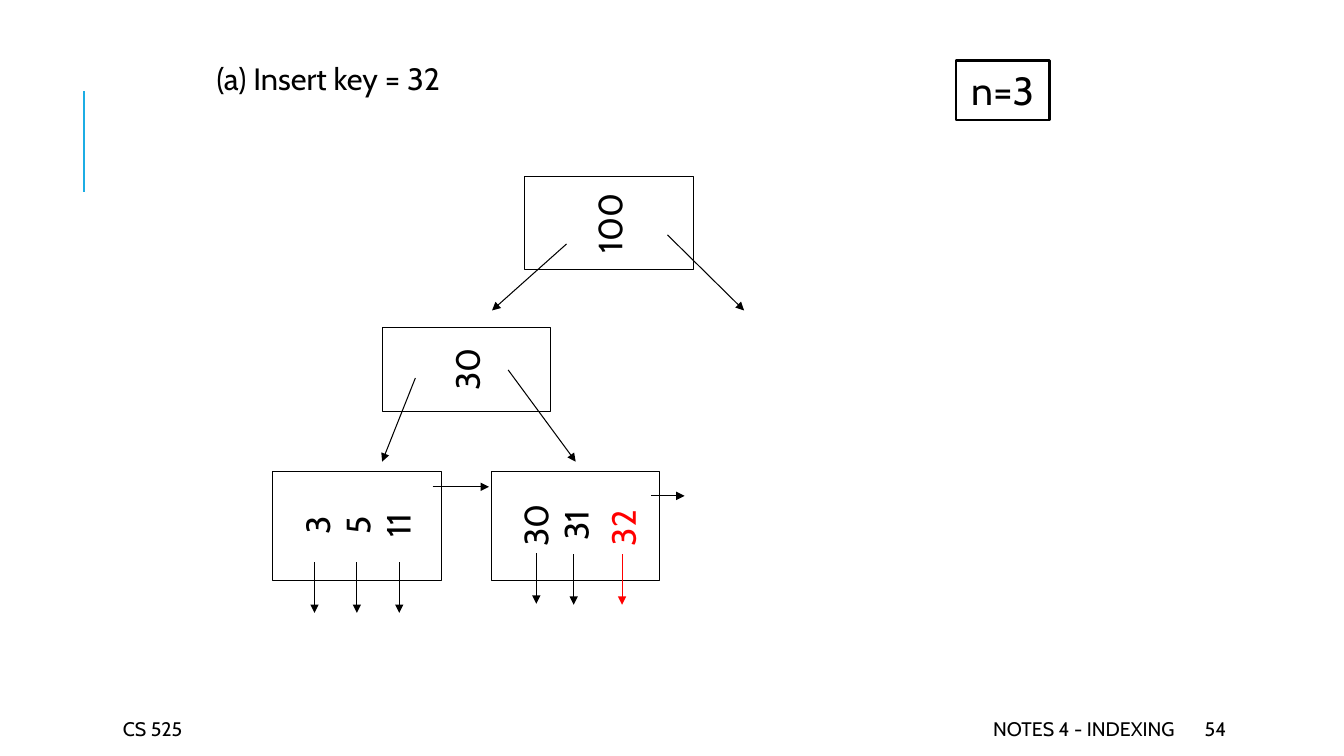
"""Build the B+ tree insertion slide: insert key 32 with n=3."""
from dataclasses import dataclass

from lxml import etree
from pptx import Presentation
from pptx.dml.color import RGBColor
from pptx.enum.shapes import MSO_CONNECTOR, MSO_SHAPE
from pptx.enum.text import MSO_ANCHOR, PP_ALIGN
from pptx.oxml.ns import qn
from pptx.util import Inches, Pt

RECT = MSO_SHAPE.RECTANGLE
STRAIGHT = MSO_CONNECTOR.STRAIGHT
TOP, MIDDLE = MSO_ANCHOR.TOP, MSO_ANCHOR.MIDDLE
LEFT, CENTER, RIGHT = PP_ALIGN.LEFT, PP_ALIGN.CENTER, PP_ALIGN.RIGHT


@dataclass(frozen=True)
class Theme:
    font: str = "Cabin"
    black: RGBColor = RGBColor(0, 0, 0)
    white: RGBColor = RGBColor(255, 255, 255)
    red: RGBColor = RGBColor(255, 0, 0)
    accent: RGBColor = RGBColor(0x1C, 0xAD, 0xE4)
    footer: int = 14
    title: int = 22
    key: int = 24
    order: int = 28


theme = Theme()
prs = Presentation()
prs.slide_width, prs.slide_height = Inches(13.33), Inches(7.5)
s = prs.slides.add_slide(prs.slide_layouts[6])


def write(sp, lines, size, align=CENTER, anchor=MIDDLE, wrap=False, color=theme.black):
    tf = sp.text_frame
    tf.word_wrap, tf.vertical_anchor = wrap, anchor
    for i, line in enumerate(lines):
        p = tf.add_paragraph() if i else tf.paragraphs[0]
        p.alignment = align
        r = p.add_run()
        r.text = line
        r.font.name, r.font.size = theme.font, Pt(size)
        r.font.color.rgb = color
    return tf


def add_line(x1, y1, x2, y2, color=theme.black, width=0.75, arrow=True):
    line = s.shapes.add_connector(STRAIGHT, Inches(x1), Inches(y1), Inches(x2), Inches(y2))
    line.line.color.rgb, line.line.width = color, Pt(width)
    if arrow:
        etree.SubElement(line.line._get_or_add_ln(), qn("a:tailEnd"), type="triangle")
    etree.SubElement(line._element.spPr, qn("a:effectLst"))


add_line(0.83, 1.9, 0.83, 0.9, theme.accent, 1.5, arrow=False)

footers = [
    ("CS 525", 1.12, 2.36, LEFT),
    ("NOTES 4 - INDEXING", 5.3, 6.45, RIGHT),
    ("54", 11.85, 1.06, LEFT),
]
for text, x, w, align in footers:
    sp = s.shapes.add_textbox(Inches(x), Inches(7.08), Inches(w), Inches(0.3))
    write(sp, [text], theme.footer, align, wrap=True)

title = s.shapes.add_textbox(Inches(2.1), Inches(0.58), Inches(8.5), Inches(0.65))
tf = write(title, ["(a) Insert key = 32"], theme.title, LEFT, TOP, wrap=True)
tf.margin_left = tf.margin_right = Inches(0.05)
tf.paragraphs[0].line_spacing = 0.9

order = s.shapes.add_shape(RECT, Inches(9.48), Inches(0.6), Inches(0.93), Inches(0.59))
order.shadow.inherit = False
order.fill.background()
order.line.color.rgb, order.line.width = theme.black, Pt(1.5)
write(order, ["n=3"], theme.order)

NODE_LENGTH = 1.67
nodes = [
    (["100"], 5.58, 1.38, 0.92, 0.05),
    (["30"], 4.21, 2.83, 0.83, 0.05),
    (["3", "5", "11"], 3, 4.38, 1.08, 0.05),
    (["30", "31"], 5.17, 4.38, 1.08, 0.46),
]
for keys, x, y, w, bottom in nodes:
    node = s.shapes.add_shape(RECT, Inches(x), Inches(y), Inches(w), Inches(NODE_LENGTH))
    node.rotation = 270
    node.shadow.inherit = False
    node.fill.solid()
    node.fill.fore_color.rgb = theme.white
    node.line.color.rgb, node.line.width = theme.black, Pt(0.75)
    write(node, keys, theme.key).margin_bottom = Inches(bottom)

new_key = s.shapes.add_textbox(Inches(5.89), Inches(4.99), Inches(0.57), Inches(0.5))
new_key.rotation = 270
write(new_key, ["32"], theme.key, color=theme.red)

child_pointers = [
    (5.62, 2.42, 4.88, 3.08),
    (6.62, 2.33, 7.38, 3.08),
    (4.12, 3.75, 3.79, 4.58),
    (5.04, 3.67, 5.71, 4.58),
]
leaf_links = [(4.29, 4.83, 4.85, 4.83), (6.46, 4.92, 6.79, 4.92)]
for ends in child_pointers + leaf_links:
    add_line(*ends)

record_pointers = [(3.12 + 0.42 * i, 5.58, theme.black) for i in range(3)]
record_pointers += [(5.32, 5.49, theme.black), (5.69, 5.5, theme.black), (6.17, 5.5, theme.red)]
for x, y, color in record_pointers:
    add_line(x, y, x, y + 0.5, color)

prs.save("out.pptx")
